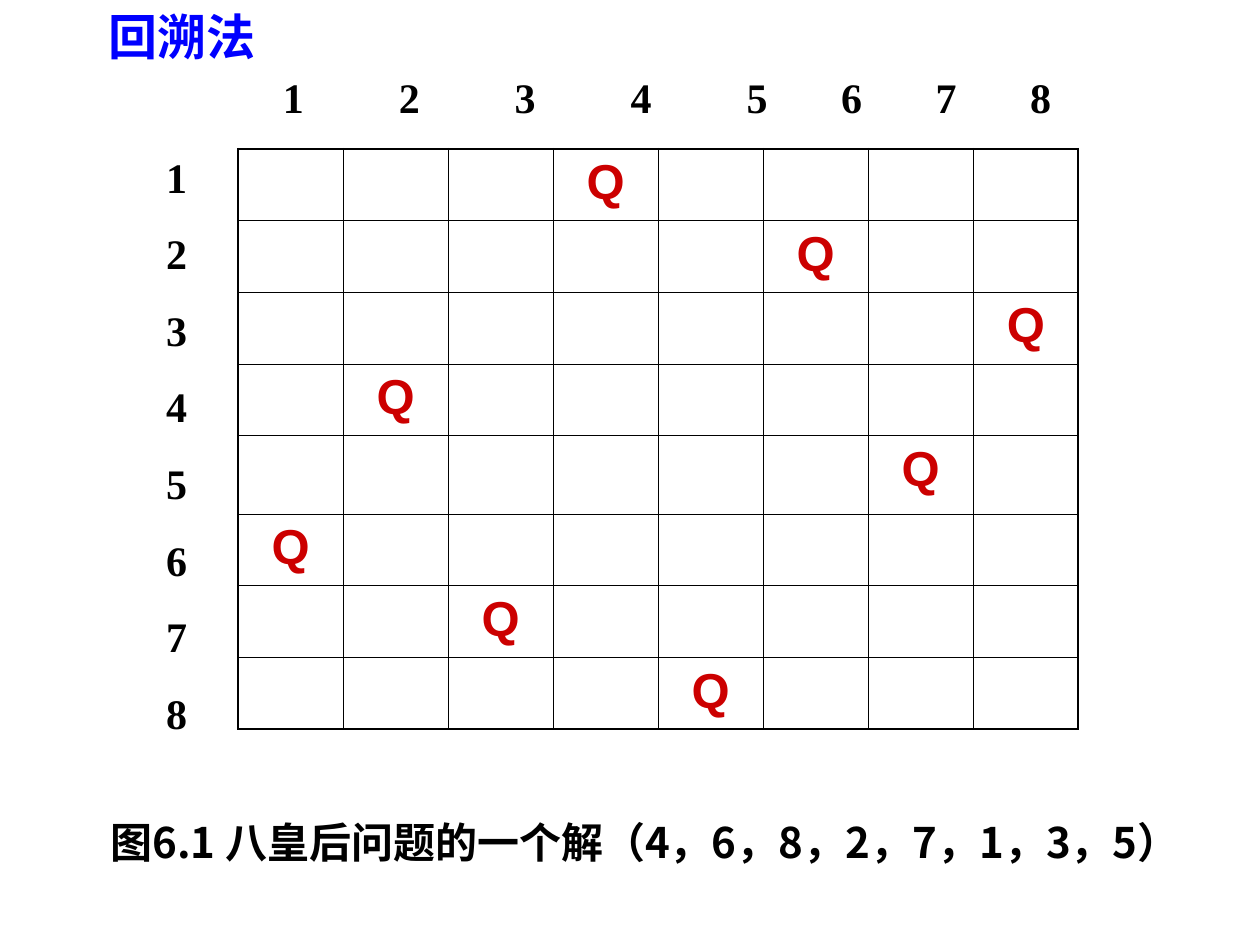
import pptx
import pptx.dml.color
import pptx.enum.text
import pptx.oxml.ns
import pptx.util
from lxml import etree

COLORS = {"title": "0000FF", "text": "000000", "queen": "CC0000", "line": "000000"}
SERIF, SANS, CJK = "Times New Roman", "Arial", "Noto Sans CJK SC"
WIDTH, HEIGHT = 10, 7.5
SOLUTION = [4, 6, 8, 2, 7, 1, 3, 5]  # queen column in each row
SIZE = len(SOLUTION)
CELL_W, CELL_H, TALL_ROW_H = 6.67 / SIZE, 0.57, 0.62
BOARD_LEFT, BOARD_TOP = 1.89, 1.18
THIN, THICK = 0.45, 1.08
CENTER = pptx.enum.text.PP_ALIGN.CENTER
LEFT = pptx.enum.text.PP_ALIGN.LEFT
qn = pptx.oxml.ns.qn


def inches(value):
    return pptx.util.Inches(value)


def style_runs(paragraph, font_name, size, color):
    for run in paragraph.runs:
        run.font.name = font_name
        run.font.size = pptx.util.Pt(size)
        run.font.bold = True
        run.font.color.rgb = pptx.dml.color.RGBColor.from_string(COLORS[color])
        east_asian = etree.SubElement(run.font._element, qn("a:ea"))
        east_asian.set("typeface", CJK)


def add_center_tabs(paragraph, stops):
    tab_list = etree.SubElement(paragraph._p.get_or_add_pPr(), qn("a:tabLst"))
    for stop in stops:
        tab = etree.SubElement(tab_list, qn("a:tab"))
        tab.set("pos", str(inches(stop)))
        tab.set("algn", "ctr")


def add_text(slide, box, lines, size, color="text", font_name=SERIF,
             align=CENTER, tab_stops=()):
    frame = slide.shapes.add_textbox(*map(inches, box)).text_frame
    frame.word_wrap = True
    frame.text = "\n".join(lines)
    for index, paragraph in enumerate(frame.paragraphs):
        if tab_stops:
            add_center_tabs(paragraph, tab_stops)
        paragraph.alignment = align
        paragraph.line_spacing = pptx.util.Pt(size * 1.2)
        if index:
            paragraph.space_before = pptx.util.Pt(15)
        style_runs(paragraph, font_name, size, color)


def set_borders(cell, row, column):
    outer_sides = [("a:lnL", column == 0), ("a:lnR", column == SIZE - 1),
                   ("a:lnT", row == 0), ("a:lnB", row == SIZE - 1)]
    properties = cell._tc.get_or_add_tcPr()
    for position, (side, is_outer) in enumerate(outer_sides):
        border = etree.Element(qn(side))
        border.set("w", str(pptx.util.Pt(THICK if is_outer else THIN)))
        fill = etree.SubElement(border, qn("a:solidFill"))
        etree.SubElement(fill, qn("a:srgbClr")).set("val", COLORS["line"])
        properties.insert(position, border)


def add_board(slide):
    row_heights = [TALL_ROW_H if row == 4 else CELL_H for row in range(SIZE)]
    board = slide.shapes.add_table(
        SIZE, SIZE, inches(BOARD_LEFT), inches(BOARD_TOP),
        inches(CELL_W * SIZE), inches(sum(row_heights))).table
    board.first_row = board.horz_banding = False
    for column in board.columns:
        column.width = inches(CELL_W)
    for row, height in enumerate(row_heights):
        board.rows[row].height = inches(height)
        for column in range(SIZE):
            square = board.cell(row, column)
            square.fill.background()
            set_borders(square, row, column)
        queen = board.cell(row, SOLUTION[row] - 1).text_frame
        queen.text = "Q"
        queen.paragraphs[0].alignment = CENTER
        style_runs(queen.paragraphs[0], SANS, 28, "queen")


def main():
    deck = pptx.Presentation()
    deck.slide_width, deck.slide_height = inches(WIDTH), inches(HEIGHT)
    slide = deck.slides.add_slide(deck.slide_layouts[6])
    numbers = [str(number) for number in range(1, SIZE + 1)]

    # Heading
    add_text(slide, (0, 0, 2.89, 0.57), ["回溯法"], 28, "title")

    # Chessboard with the queens
    add_board(slide)

    # Column numbers: wide steps up to 5, narrower ones after it
    stops = [0.22 + 0.92 * min(i, 4) + 0.75 * max(i - 4, 0) for i in range(SIZE)]
    add_text(slide, (2.01, 0.52, 6.58, 0.5), ["\t" + "\t".join(numbers)], 24,
             align=LEFT, tab_stops=stops)

    # Row numbers
    add_text(slide, (1.22, 1.15, 0.5, 4.76), numbers, 24, align=LEFT)

    # Caption
    solution_text = "，".join(map(str, SOLUTION))
    add_text(slide, (0.67, 6.43, 8.9, 0.9),
             [f"图6.1 八皇后问题的一个解（{solution_text}）"], 24, font_name=CJK)

    deck.save("out.pptx")


if __name__ == "__main__":
    main()
